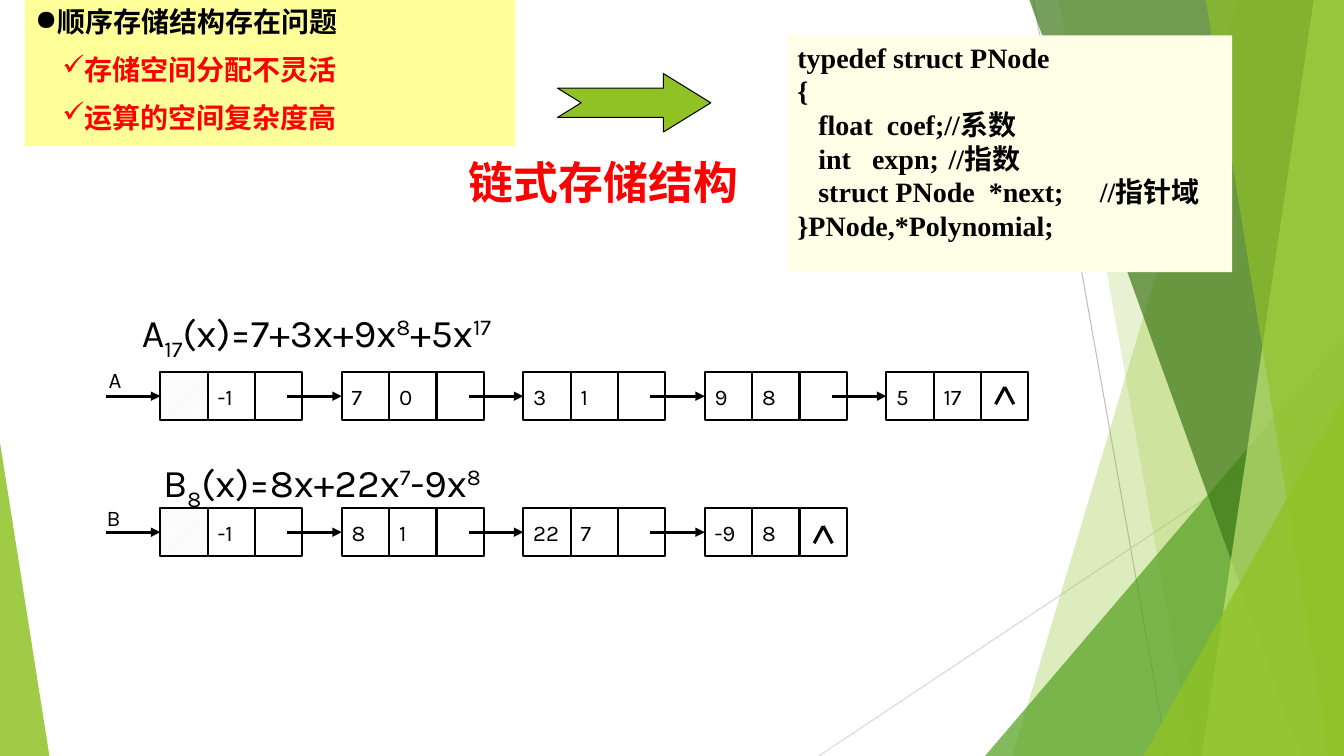
from lxml.etree import SubElement
from pptx import Presentation
from pptx.dml.color import RGBColor
from pptx.enum.dml import MSO_PATTERN
from pptx.enum.shapes import MSO_CONNECTOR, MSO_SHAPE
from pptx.enum.text import MSO_ANCHOR, PP_ALIGN
from pptx.oxml.ns import qn
from pptx.util import Inches, Pt

BLACK = RGBColor(0, 0, 0)
WHITE = RGBColor(255, 255, 255)
RED = RGBColor(255, 0, 0)
YELLOW = RGBColor(0xFF, 0xFF, 0x99)
CREAM = RGBColor(0xFF, 0xFF, 0xE7)
HATCH = RGBColor(0xEB, 0xEB, 0xEB)
GREY = RGBColor(0xBF, 0xBF, 0xBF)
LIGHT_GREY = RGBColor(0xD9, 0xD9, 0xD9)
GREEN = RGBColor(0x90, 0xC2, 0x26)
MID_GREEN = RGBColor(0x54, 0xA0, 0x21)
DARK_GREEN = RGBColor(0x3F, 0x78, 0x19)
PALE_GREEN = RGBColor(0xC0, 0xE4, 0x74)
KARLA, NOTO, TIMES = "Karla", "Noto Sans CJK SC", "Times New Roman"

RAYS = [((10.25, 0), (11.58, 7.5), GREY), ((13.33, 4.03), (8.12, 7.5), LIGHT_GREY)]
FACETS = [
    ("band", (12.28, 10.04), GREEN, 30),
    ("band", (10.5, 11.83), GREEN, 20),
    ("triangle", (9.77, 3.33, 3.56, 4.17, 1), MID_GREEN, 72),
    ("band", (10.21, 12.91), DARK_GREEN, 70),
    ("band", (13.03, 11.92), PALE_GREEN, 70),
    ("band", (11.96, 13.18), GREEN, 65),
    ("triangle", (11.34, 3.93, 1.99, 3.57, 1), GREEN, 80),
    ("triangle", (0, 4.39, 0.49, 3.11, 0), GREEN, 85),
]
PROBLEMS = [
    ("●", "顺序存储结构存在问题", BLACK, 0.17, 0.17),
    ("✓", "存储空间分配不灵活", RED, 0.49, 0.22),
    ("✓", "运算的空间复杂度高", RED, 0.49, 0.22),
]
CODE = [
    "typedef struct PNode",
    "{",
    "   float  coef;//系数",
    "   int   expn;\t//指数",
    "   struct PNode  *next;\t//指针域",
    "}PNode,*Polynomial;",
]
FORMULAS = [
    (1.31, 3.01, [("A", 0), ("17", -25), ("(x)=7+3x+9x", 0), ("8", 30), ("+5x", 0), ("17", 30)]),
    (1.52, 4.5, [("B", 0), ("8", -25), ("(x)=8x+22x", 0), ("7", 30), ("-9x", 0), ("8", 30)]),
]
CHAINS = [
    ("A", 0.98, 3.58, 3.69, 3.84, [("", "-1"), ("7", "0"), ("3", "1"), ("9", "8"), ("5", "17")]),
    ("B", 0.96, 4.95, 5.04, 5.22, [("", "-1"), ("8", "1"), ("22", "7"), ("-9", "8")]),
]
NODE_LEFT, NODE_STEP, CELL_WIDTH, CELL_HEIGHT, LINK = 1.59, 1.8, 0.47, 0.48, 0.54

deck = Presentation()
deck.slide_width, deck.slide_height = Inches(13.33), Inches(7.5)
page = deck.slides.add_slide(deck.slide_layouts[6])


def add_line(start, end, color, weight, arrow=False):
    line = page.shapes.add_connector(MSO_CONNECTOR.STRAIGHT, *map(Inches, start + end))
    line.line.color.rgb, line.line.width = color, Pt(weight)
    if arrow:
        SubElement(line.line._get_or_add_ln(), qn("a:tailEnd"), type="triangle")
    SubElement(line._element.spPr, qn("a:effectLst"))
    return line


def paint(shape, fill=None, alpha=100, line=None, weight=0.75):
    shape.shadow.inherit = False
    if fill is None:
        shape.fill.background()
    else:
        shape.fill.solid()
        shape.fill.fore_color.rgb = fill
        if alpha < 100:
            color = shape._element.spPr.find(".//" + qn("a:srgbClr"))
            SubElement(color, qn("a:alpha"), val=str(alpha * 1000))
    if line is None:
        shape.line.fill.background()
    else:
        shape.line.color.rgb, shape.line.width = line, Pt(weight)


def add_box(kind, left, top, width, height, **look):
    shape = page.shapes.add_shape(kind, *map(Inches, (left, top, width, height)))
    paint(shape, **look)
    return shape


def add_label(left, top, width, height, wrap=True):
    frame = page.shapes.add_textbox(*map(Inches, (left, top, width, height))).text_frame
    frame.word_wrap = wrap
    return frame


def write(para, text, face, size, color=BLACK, bold=False, baseline=0):
    span = para.add_run()
    span.text = text
    for name, value in {"name": face, "size": Pt(size), "bold": bold}.items():
        setattr(span.font, name, value)
    span.font.color.rgb = color
    marks = span._r.get_or_add_rPr()
    SubElement(marks, qn("a:ea"), typeface=NOTO)
    if baseline:
        marks.set("baseline", str(baseline * 1000))


def next_paragraph(frame, index):
    para = frame.paragraphs[0] if index == 0 else frame.add_paragraph()
    para.alignment, para.line_spacing = PP_ALIGN.LEFT, Pt(24)
    return para


def draw_facet(kind, place, color, alpha):
    if kind == "triangle":
        facet = add_box(MSO_SHAPE.ISOSCELES_TRIANGLE, *place[:4], fill=color, alpha=alpha)
        facet.adjustments[0] = place[4]
        return
    upper, lower = place
    builder = page.shapes.build_freeform(Inches(upper), 0)
    corners = [(13.33, 0), (13.33, 7.5), (lower, 7.5)]
    builder.add_line_segments([(Inches(x), Inches(y)) for x, y in corners], close=True)
    paint(builder.convert_to_shape(), color, alpha)


def draw_cell(left, top, text):
    cell = add_box(MSO_SHAPE.RECTANGLE, left, top, CELL_WIDTH, CELL_HEIGHT, line=BLACK, weight=1.5)
    if text:
        frame = cell.text_frame
        frame.vertical_anchor, frame.margin_right = MSO_ANCHOR.MIDDLE, 0
        frame.paragraphs[0].alignment = PP_ALIGN.LEFT
        write(frame.paragraphs[0], text, KARLA, 16)
    return cell


def draw_chain(name, name_left, name_top, top, caret_top, nodes):
    middle = top + CELL_HEIGHT / 2
    links = []
    for index, values in enumerate(nodes):
        left = NODE_LEFT + index * NODE_STEP
        cells = [draw_cell(left + i * CELL_WIDTH, top, text) for i, text in enumerate(values + ("",))]
        if index == 0:
            fill = cells[0].fill
            fill.patterned()
            fill.pattern = MSO_PATTERN.DARK_UPWARD_DIAGONAL
            fill.fore_color.rgb, fill.back_color.rgb = HATCH, WHITE
        link = add_line((left - LINK, middle), (left, middle), BLACK, 2.25, True)
        link.end_connect(cells[0], 1)
    peak = left + 2.5 * CELL_WIDTH
    for side in (-0.09, 0.09):
        add_line((peak, caret_top), (peak + side, caret_top + 0.17), BLACK, 2.25)
    write(add_label(name_left, name_top, 0.34, 0.37, False).paragraphs[0], name, KARLA, 16)


for start, end, color in RAYS:
    add_line(start, end, color, 0.75)
for facet in FACETS:
    draw_facet(*facet)

for left, top, pieces in FORMULAS:
    para = add_label(left, top, 4.43, 0.57).paragraphs[0]
    for text, baseline in pieces:
        write(para, text, KARLA, 28, baseline=baseline)
for chain in CHAINS:
    draw_chain(*chain)

problem_frame = add_box(MSO_SHAPE.RECTANGLE, 0.25, 0, 4.86, 1.45, fill=YELLOW).text_frame
problem_frame.vertical_anchor = MSO_ANCHOR.TOP
for index, (bullet, text, color, margin, hang) in enumerate(PROBLEMS):
    para = next_paragraph(problem_frame, index)
    if index:
        para.space_before = Pt(10)
    layout = para._p.get_or_add_pPr()
    layout.set("marL", str(Inches(margin)))
    layout.set("indent", str(-Inches(hang)))
    SubElement(layout, qn("a:buChar"), char=bullet)
    write(para, text, NOTO, 20, color, True)

title = add_label(4.54, 1.49, 2.89, 0.79, False).paragraphs[0]
title.alignment = PP_ALIGN.CENTER
write(title, "链式存储结构", NOTO, 32, RED, True)
arrow = add_box(MSO_SHAPE.NOTCHED_RIGHT_ARROW, 5.53, 0.73, 1.52, 0.58, fill=GREEN, line=BLACK)
arrow.adjustments[0], arrow.adjustments[1] = 0.5, 0.81

code_frame = add_box(MSO_SHAPE.RECTANGLE, 7.81, 0.35, 4.41, 2.35, fill=CREAM).text_frame
code_frame.vertical_anchor = MSO_ANCHOR.TOP
for index, text in enumerate(CODE):
    para = next_paragraph(code_frame, index)
    tabs = SubElement(para._p.get_or_add_pPr(), qn("a:tabLst"))
    for stop in (1.5, 3):
        SubElement(tabs, qn("a:tab"), pos=str(Inches(stop)), algn="l")
    write(para, text, TIMES, 20, bold=True)

deck.save("out.pptx")
